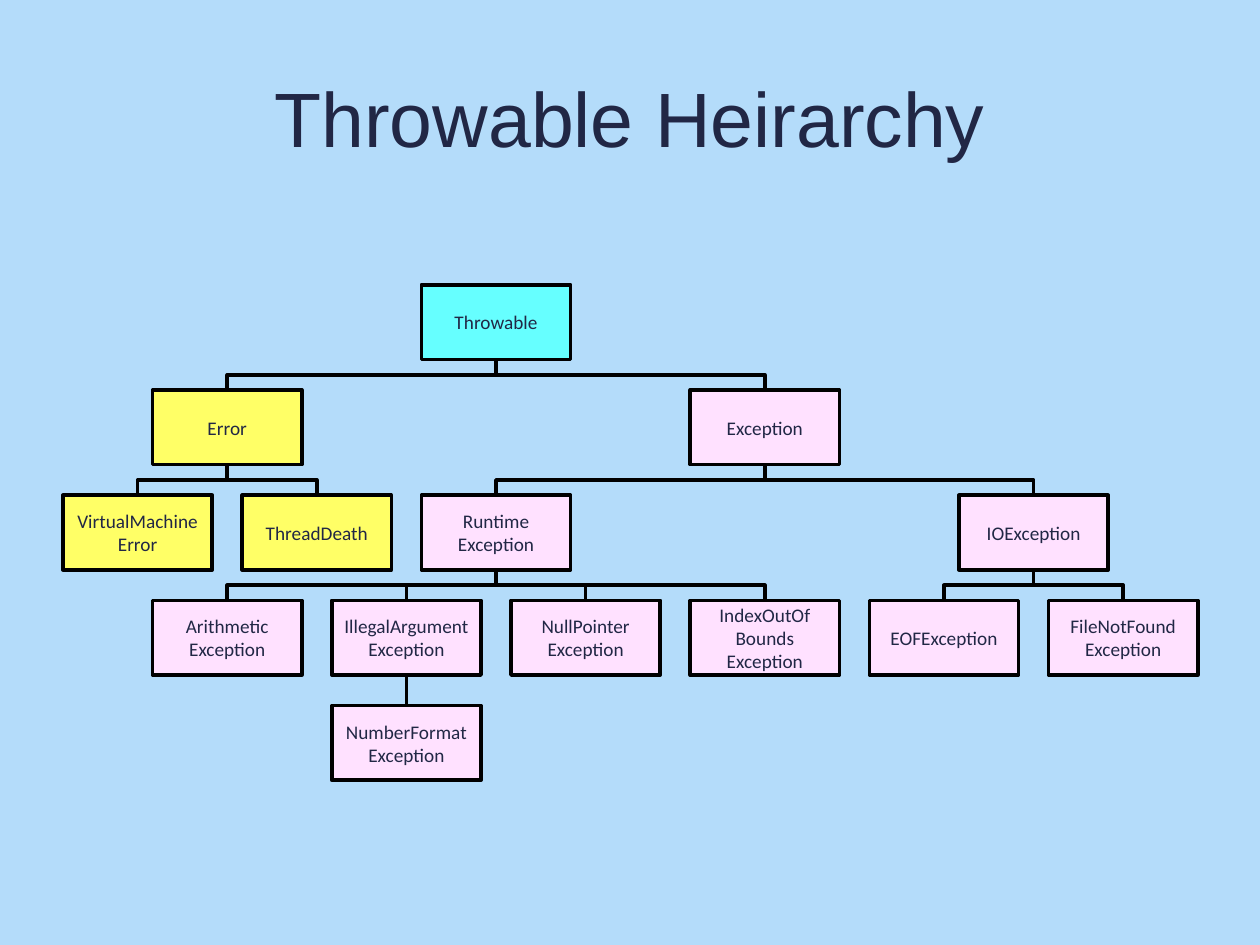
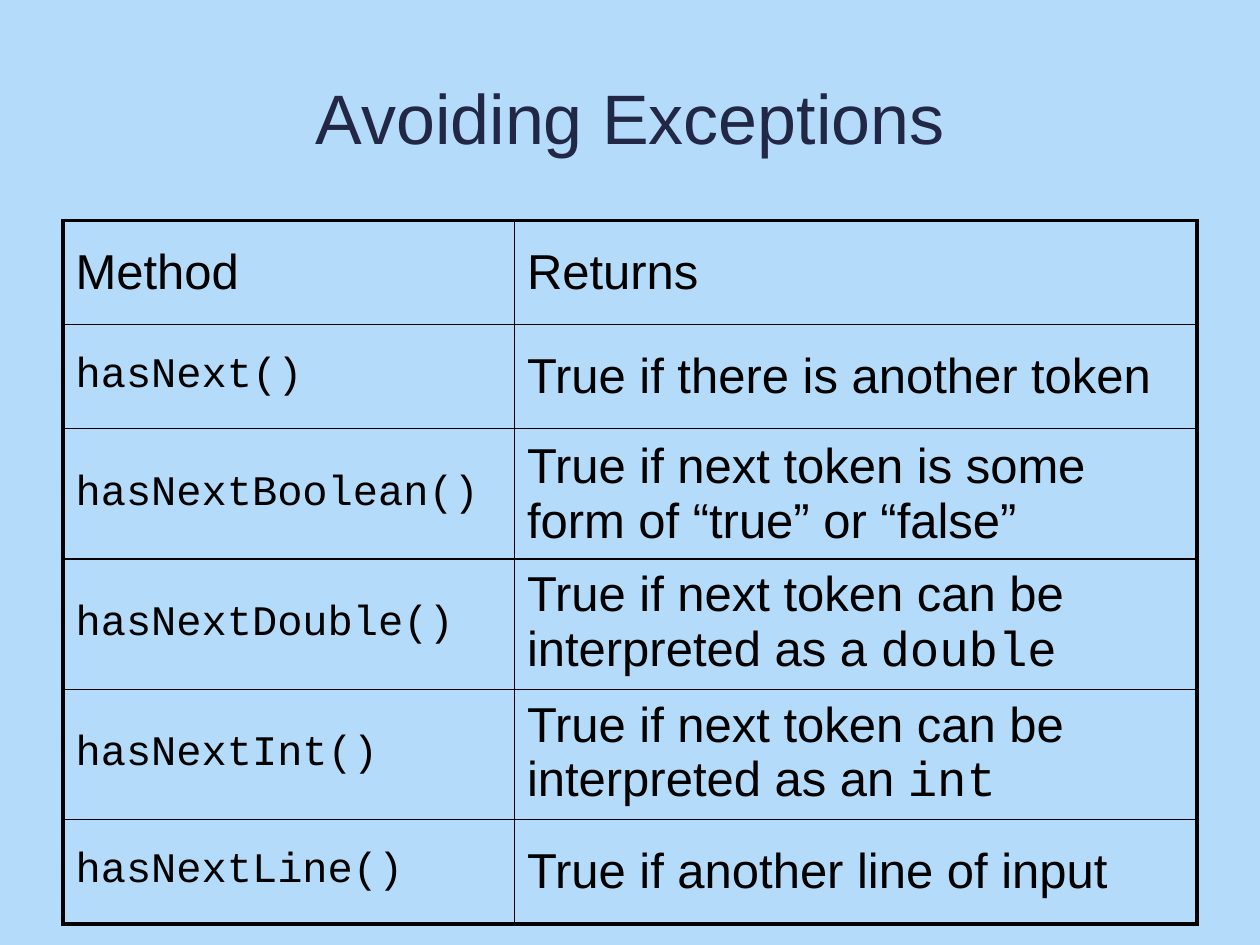
from lxml import etree
from pptx import Presentation
from pptx.dml.color import RGBColor
from pptx.enum.shapes import MSO_CONNECTOR, MSO_SHAPE
from pptx.enum.text import MSO_ANCHOR, PP_ALIGN
from pptx.oxml.ns import qn
from pptx.util import Pt

SKY = RGBColor(0xB4, 0xDC, 0xFA)
NAVY = RGBColor(0x21, 0x27, 0x45)
BLACK = RGBColor(0, 0, 0)
CYAN = RGBColor(0x66, 0xFF, 0xFF)
YELLOW = RGBColor(0xFF, 0xFF, 0x66)
PINK = RGBColor(0xFF, 0xE1, 0xFF)
RECT = MSO_SHAPE.RECTANGLE
STRAIGHT = MSO_CONNECTOR.STRAIGHT
MIDDLE = MSO_ANCHOR.MIDDLE
LEFT, CENTER = PP_ALIGN.LEFT, PP_ALIGN.CENTER
SANS, LABEL, MONO = "Arial", "Calibri", "Courier New"

MARGIN, WIDE = 36, 648
BOX_W, BOX_H = 85.3, 42.7
STEP_X, STEP_Y = 51.2, 60.1
TREE_TOP = 162.8
LINE = 2
THIN, THICK = 1, 2.25

# Each class: label, half-column, level, fill, label of its parent
TREE = [
    ("Throwable", 4, 0, CYAN, None),
    ("Error", 1, 1, YELLOW, "Throwable"),
    ("VirtualMachine\nError", 0, 2, YELLOW, "Error"),
    ("ThreadDeath", 2, 2, YELLOW, "Error"),
    ("Exception", 7, 1, PINK, "Throwable"),
    ("Runtime\nException", 4, 2, PINK, "Exception"),
    ("Arithmetic\nException", 1, 3, PINK, "Runtime\nException"),
    ("IllegalArgument\nException", 3, 3, PINK, "Runtime\nException"),
    ("NumberFormat\nException", 3, 4, PINK, "IllegalArgument\nException"),
    ("NullPointer\nException", 5, 3, PINK, "Runtime\nException"),
    ("IndexOutOf\nBounds\nException", 7, 3, PINK, "Runtime\nException"),
    ("IOException", 10, 2, PINK, "Exception"),
    ("EOFException", 9, 3, PINK, "IOException"),
    ("FileNotFound\nException", 11, 3, PINK, "IOException"),
]

# Each method: name, meaning, closing code word
METHODS = [
    ("hasNext()", "True if there is another token", ""),
    ("hasNextBoolean()", "True if next token is some form of “true” or “false”", ""),
    ("hasNextDouble()", "True if next token can be interpreted as a ", "double"),
    ("hasNextInt()", "True if next token can be interpreted as an ", "int"),
    ("hasNextLine()", "True if another line of input", ""),
]


def write(frame, text, font=SANS, size=28, color=BLACK, align=LEFT, code=""):
    """Fill a text frame, one paragraph a line, with an optional closing code word."""
    frame.word_wrap = True
    for num, line in enumerate(text.split("\n")):
        para = frame.add_paragraph() if num else frame.paragraphs[0]
        para.alignment = align
        for part, face in ((line, font), (code, MONO)):
            if part:
                run = para.add_run()
                run.text = part
                run.font.name = face
                run.font.size = Pt(size)
                run.font.color.rgb = color


def add_page(deck, title, size):
    """Add a blank slide with a centred title."""
    page = deck.slides.add_slide(deck.slide_layouts[6])
    box = page.shapes.add_textbox(Pt(MARGIN), Pt(21.6), Pt(WIDE), Pt(90))
    box.text_frame.vertical_anchor = MIDDLE
    write(box.text_frame, title, size=size, color=NAVY, align=CENTER)
    return page


def ink(line):
    """Give a line the colour and width used in the tree."""
    line.color.rgb = BLACK
    line.width = Pt(LINE)


def add_box(page, label, col, level, fill):
    """Add one class box at its place in the tree."""
    box = page.shapes.add_shape(
        RECT, Pt(MARGIN + col * STEP_X), Pt(TREE_TOP + level * STEP_Y),
        Pt(BOX_W), Pt(BOX_H))
    box.shadow.inherit = False
    box.fill.solid()
    box.fill.fore_color.rgb = fill
    ink(box.line)
    frame = box.text_frame
    frame.margin_left = frame.margin_right = Pt(0.7)
    frame.margin_top = frame.margin_bottom = Pt(0.7)
    frame.vertical_anchor = MIDDLE
    write(frame, label, font=LABEL, size=11, color=NAVY, align=CENTER)
    return box


def link(page, top, low):
    """Join a parent box to a child box, bending halfway if they are offset."""
    x, y = top.left + top.width // 2, top.top + top.height
    end = low.left + low.width // 2
    if x == end:
        wire = page.shapes.add_connector(STRAIGHT, x, y, end, low.top)
        wire.begin_connect(top, 2)
        wire.end_connect(low, 0)
        etree.SubElement(wire._element.spPr, qn("a:effectLst"))
    else:
        mid = (y + low.top) // 2
        path = page.shapes.build_freeform(x, y)
        path.add_line_segments([(x, mid), (end, mid), (end, low.top)], close=False)
        wire = path.convert_to_shape()
        wire.fill.background()
        wire.shadow.inherit = False
    ink(wire.line)


def add_tree(page):
    """Draw all class boxes and the lines between them."""
    boxes = {}
    for label, col, level, fill, parent in TREE:
        boxes[label] = add_box(page, label, col, level, fill)
        if parent:
            link(page, boxes[parent], boxes[label])


def edge(cell, side, width):
    """Draw one black border of a cell."""
    line = etree.SubElement(
        cell._tc.get_or_add_tcPr(), qn("a:ln" + side), w=str(Pt(width)))
    fill = etree.SubElement(line, qn("a:solidFill"))
    etree.SubElement(fill, qn("a:srgbClr"), val=str(BLACK))


def add_grid(page):
    """Add the table of methods with a thick outer frame."""
    rows = [("Method", "Returns", "")] + METHODS
    last = len(rows) - 1
    grid = page.shapes.add_table(
        len(rows), 2, Pt(MARGIN), Pt(126), Pt(WIDE), Pt(59.5 * len(rows))).table
    grid.first_row = grid.horz_banding = False
    for col, width in zip(grid.columns, (258, 390)):
        col.width = Pt(width)
    for num, (name, text, code) in enumerate(rows):
        left, right = grid.cell(num, 0), grid.cell(num, 1)
        face = {"font": MONO, "size": 24} if num else {}
        write(left.text_frame, name, **face)
        write(right.text_frame, text, code=code)
        for cell in (left, right):
            cell.vertical_anchor = MIDDLE
            outer = {"L": cell is left, "R": cell is right,
                     "T": num == 0, "B": num == last}
            for side, thick in outer.items():
                edge(cell, side, THICK if thick else THIN)
            cell.fill.background()


def main():
    """Build both slides and save them."""
    deck = Presentation()
    deck.slide_width, deck.slide_height = Pt(720), Pt(540)
    back = deck.slide_master.background.fill
    back.solid()
    back.fore_color.rgb = SKY
    add_tree(add_page(deck, "Throwable Heirarchy", 44))
    add_grid(add_page(deck, "Avoiding Exceptions", 40))
    deck.save("out.pptx")


if __name__ == "__main__":
    main()
